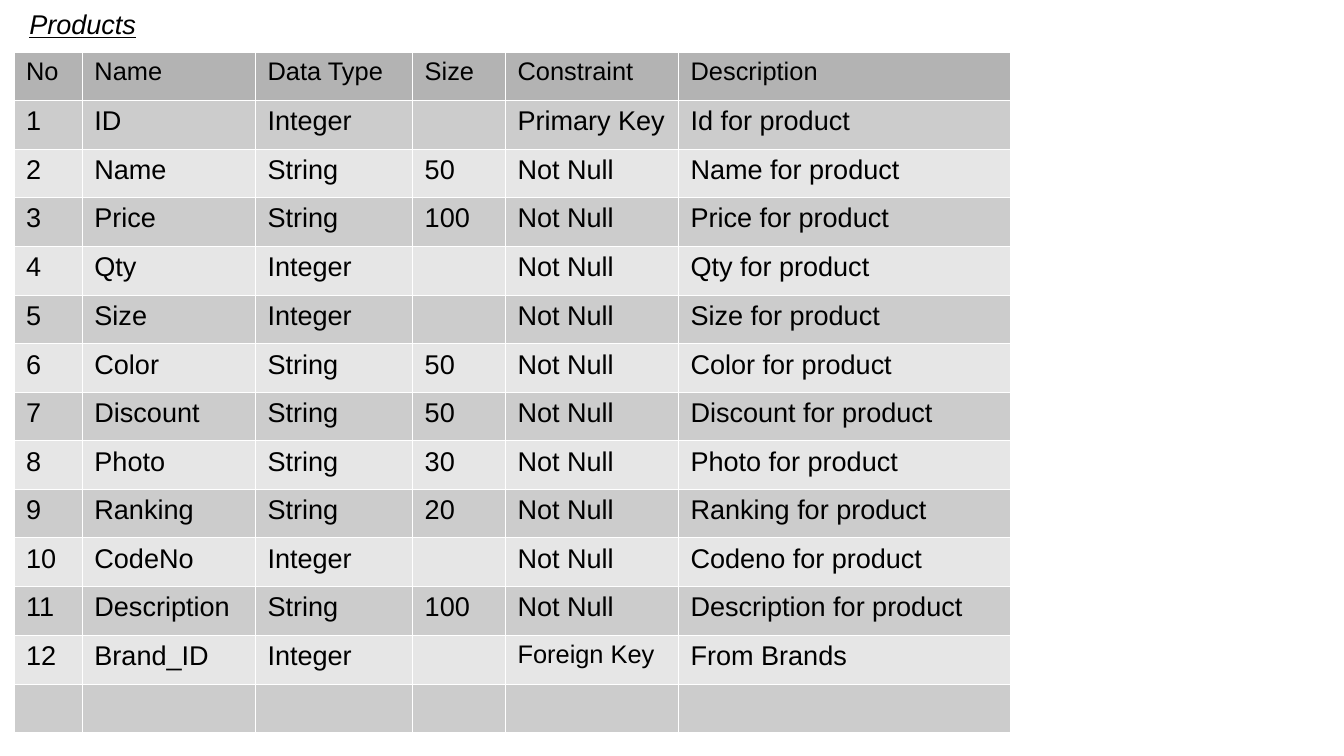
from lxml.etree import SubElement
from pptx import Presentation
from pptx.dml.color import RGBColor
from pptx.enum.text import MSO_ANCHOR, MSO_AUTO_SIZE, PP_ALIGN
from pptx.oxml.ns import qn
from pptx.util import Pt

# Content
TITLE = "Products"
HEADER = ("No", "Name", "Data Type", "Size", "Constraint", "Description")
FIELDS = [
    ("1", "ID", "Integer", "", "Primary Key", "Id for product"),
    ("2", "Name", "String", "50", "Not Null", "Name for product"),
    ("3", "Price", "String", "100", "Not Null", "Price for product"),
    ("4", "Qty", "Integer", "", "Not Null", "Qty for product"),
    ("5", "Size", "Integer", "", "Not Null", "Size for product"),
    ("6", "Color", "String", "50", "Not Null", "Color for product"),
    ("7", "Discount", "String", "50", "Not Null", "Discount for product"),
    ("8", "Photo", "String", "30", "Not Null", "Photo for product"),
    ("9", "Ranking", "String", "20", "Not Null", "Ranking for product"),
    ("10", "CodeNo", "Integer", "", "Not Null", "Codeno for product"),
    ("11", "Description", "String", "100", "Not Null", "Description for product"),
    ("12", "Brand_ID", "Integer", "", "Foreign Key", "From Brands"),
    ("", "", "", "", "", ""),
]
ROWS = [HEADER] + FIELDS

# Style
FONT = "Arial"
BLACK = RGBColor(0x00, 0x00, 0x00)
WHITE = RGBColor(0xFF, 0xFF, 0xFF)
HEADER_FILL = RGBColor(0xB3, 0xB3, 0xB3)
BAND_FILLS = (RGBColor(0xE6, 0xE6, 0xE6), RGBColor(0xCC, 0xCC, 0xCC))
COLUMN_WIDTHS = (40.4, 102.2, 92.8, 54.8, 102.2, 196)
ROW_HEIGHT = 28.65
BORDER_WIDTH = 0.06


def add_span(para, text, size):
    span = para.add_run()
    span.text = text
    span.font.name = FONT
    span.font.size = Pt(size)
    span.font.color.rgb = BLACK
    return span


def add_borders(cell):
    properties = cell._tc.get_or_add_tcPr()
    for side in ("lnL", "lnR", "lnT", "lnB"):
        line = SubElement(properties, qn(f"a:{side}"), w=str(Pt(BORDER_WIDTH)))
        fill = SubElement(line, qn("a:solidFill"))
        SubElement(fill, qn("a:srgbClr"), val=str(WHITE))


# Page
deck = Presentation()
deck.slide_width, deck.slide_height = Pt(793.44), Pt(446.4)
page = deck.slides.add_slide(deck.slide_layouts[5])

# Title
title = page.shapes.title
title.left, title.top, title.width, title.height = Pt(17.3), Pt(5), Pt(90.7), Pt(18)
frame = title.text_frame
frame.margin_left = frame.margin_top = frame.margin_right = frame.margin_bottom = 0
frame.vertical_anchor = MSO_ANCHOR.MIDDLE
frame.word_wrap = True
frame.auto_size = MSO_AUTO_SIZE.SHAPE_TO_FIT_TEXT
para = frame.paragraphs[0]
para.alignment = PP_ALIGN.LEFT
span = add_span(para, TITLE, 16)
span.font.italic = span.font.underline = True

# Table grid
table = page.shapes.add_table(
    len(ROWS), len(HEADER), Pt(8.2), Pt(30.5),
    Pt(sum(COLUMN_WIDTHS)), Pt(ROW_HEIGHT * len(ROWS))).table
table.first_row = table.horz_banding = False
for column, width in zip(table.columns, COLUMN_WIDTHS):
    column.width = Pt(width)
for row in table.rows:
    row.height = Pt(ROW_HEIGHT)

# Table cells
for row_index, texts in enumerate(ROWS):
    is_header = row_index == 0
    for column_index, text in enumerate(texts):
        cell = table.cell(row_index, column_index)
        add_borders(cell)
        cell.fill.solid()
        cell.fill.fore_color.rgb = HEADER_FILL if is_header else BAND_FILLS[row_index % 2]
        if text:
            size = 15 if is_header or text == "Foreign Key" else 16
            add_span(cell.text_frame.paragraphs[0], text, size)

deck.save("out.pptx")
